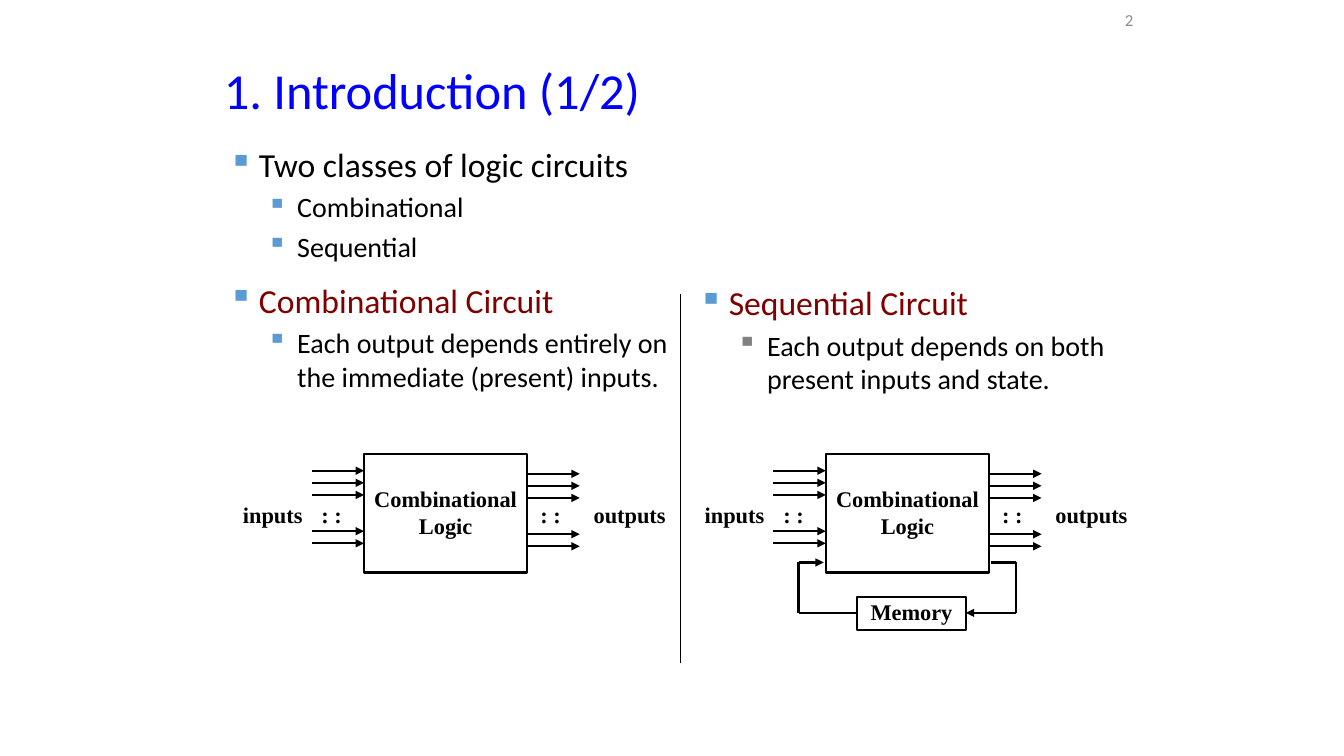
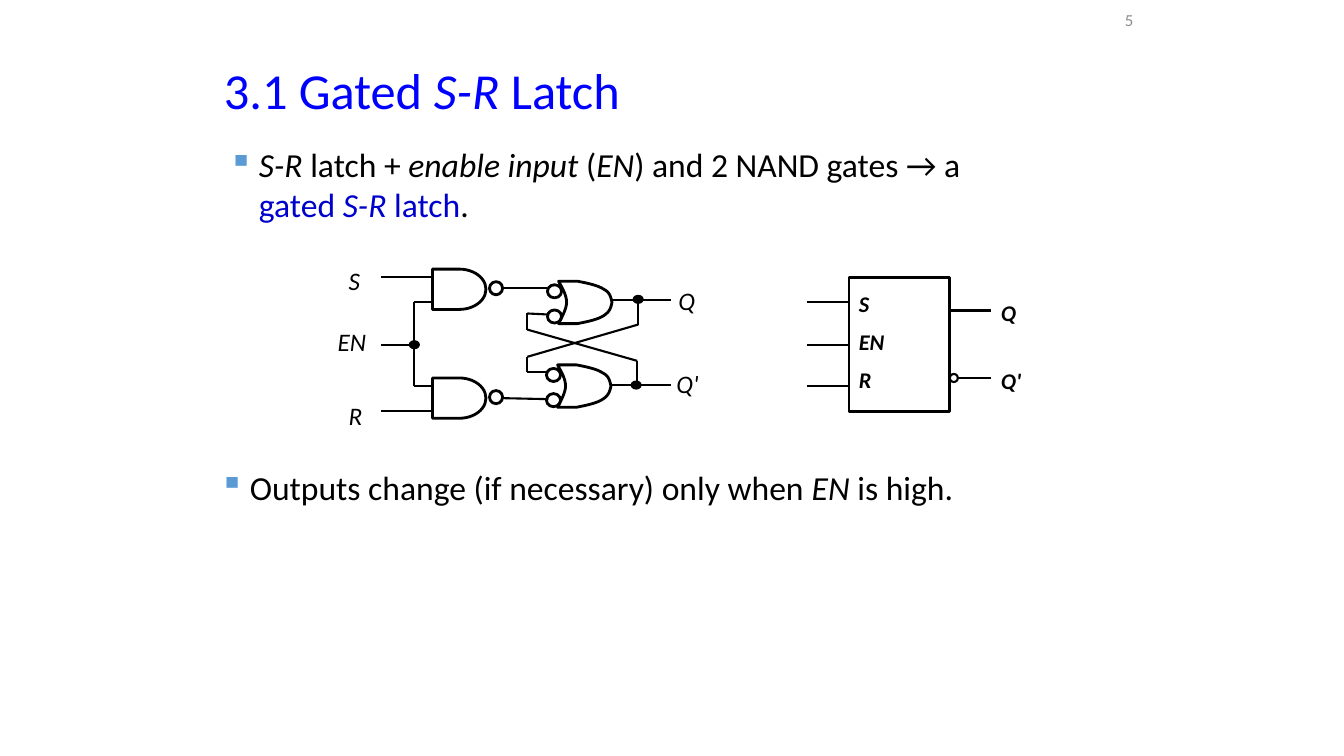
from itertools import pairwise
from lxml.etree import SubElement
from pptx import Presentation
from pptx.dml.color import RGBColor
from pptx.enum.shapes import MSO_CONNECTOR, MSO_SHAPE
from pptx.enum.text import MSO_ANCHOR, PP_ALIGN
from pptx.oxml.ns import qn
from pptx.util import Inches, Pt

# Shared style
BLACK, BLUE, NAVY, MAROON = "000000", "0000FF", "0000CC", "800000"
BULLET_BLUE, BULLET_GRAY, NUMBER_GRAY = "5B9BD5", "808080", "8C8C8C"
SANS, SERIF = "Calibri", "Times New Roman"
WIRE, OUTLINE = 1.5, 2

# Content: a run is (text, style, colour); style holds "b" and/or "i"
INTRO_TITLE = [("1. Introduction (1/2)",)]
LATCH_TITLE = [("3.1 Gated ",), ("S-R", "i"), (" Latch",)]

# Bulleted paragraph: (level, space before as share of size, runs, bullet colour)
CLASSES = [
    (0, 0, [("Two classes of logic circuits",)], BULLET_BLUE),
    (1, 0.2, [("Combinational",)], BULLET_BLUE),
    (1, 0.2, [("Sequential",)], BULLET_BLUE),
    (0, 0.5, [("Combinational Circuit", "", MAROON)], BULLET_BLUE),
    (1, 0.2, [("Each output depends entirely on the immediate (present) inputs.",)], BULLET_BLUE),
]
SEQUENTIAL = [
    (0, 0, [("Sequential Circuit", "", MAROON)], BULLET_BLUE),
    (1, 0.2, [("Each output depends on both present inputs and state.",)], BULLET_GRAY),
]
GATED = [(0, 0, [
    ("S-R", "i"), (" latch + ",), ("enable input", "i"), (" (",), ("EN", "i"),
    (") and 2 NAND gates → a ",), ("gated ", "", NAVY), ("S-R", "i", NAVY),
    (" latch", "", NAVY), (".",),
], BULLET_BLUE)]
ENABLED = [(0, 0, [
    ("Outputs change (if necessary) only when ",), ("EN", "i"), (" is high.",),
], BULLET_BLUE)]

# Logic block: wire rows in use, and x offsets of the labels from the block
WIRE_ROWS = (0, 1, 2, 5, 6)
BLOCK_LABELS = [("inputs", -1.28, 0.75), (": :", -0.53, 0.42),
                (": :", 1.64, 0.42), ("outputs", 2.22, 0.83)]
FEEDBACK = [  # points of each path; the arrow sits on the last one
    [(9.83, 5.58), (10.08, 5.58), (10.08, 6.08), (9.58, 6.08)],
    [(8.5, 6.08), (7.92, 6.08), (7.92, 5.58), (8.17, 5.58)],
]

# Gated latch
LATCH_WIRES = [
    [(3.78, 2.75), (4.3, 2.75)],
    [(3.78, 4.08), (4.3, 4.08)],
    [(3.78, 3.42), (4.11, 3.42)],
    [(4.3, 3), (4.11, 3), (4.11, 3.83), (4.3, 3.83)],
    [(5, 2.86), (5.43, 2.86)],
    [(4.99, 3.95), (5.44, 3.96)],
    [(5.43, 3.12), (5.23, 3.11), (5.23, 3.27), (6.32, 3.58), (6.32, 3.82)],
    [(5.43, 3.69), (5.23, 3.69), (5.23, 3.54), (6.33, 3.22), (6.33, 2.98)],
    [(6.07, 2.98), (6.66, 2.98)],
    [(6.07, 3.82), (6.66, 3.82)],
]
NAND_GATES = [(4.29, 2.67), (4.29, 3.75)]
OR_GATES = [(5.54, 2.79), (5.53, 3.62)]
JUNCTIONS = [(4.11, 3.42), (6.33, 2.97), (6.31, 3.82)]
LATCH_LABELS = [("S", 3.36, 2.58), ("EN", 3.25, 3.19), ("R", 3.36, 3.92),
                ("Q", 6.63, 2.78), ("Q'", 6.61, 3.6)]
# OR outline as cubic curves, measured from its top left corner
OR_START = (0.19, 0)
OR_CURVES = [
    [(0.29, 0.02), (0.39, 0.04), (0.45, 0.08)],
    [(0.51, 0.11), (0.52, 0.16), (0.53, 0.21)],
    [(0.52, 0.26), (0.51, 0.3), (0.45, 0.34)],
    [(0.39, 0.38), (0.29, 0.4), (0.19, 0.42)],
    [(0.13, 0.42), (0.06, 0.42), (0, 0.42)],
    [(0.02, 0.38), (0.08, 0.28), (0.08, 0.21)],
    [(0.08, 0.14), (0.04, 0.07), (0, 0)],
]

# Symbol of the latch
SYMBOL_WIRES = [[(8, y), (8.42, y)] for y in (3, 3.42, 3.83)] + [
    [(9.42, 3.08), (9.83, 3.08)], [(9.5, 3.75), (9.83, 3.75)]]


# Helpers
def color(hex_code):
    return RGBColor.from_string(hex_code)


def add_runs(paragraph, runs, size, font=SANS, default=BLACK):
    for text, style, tint in [(*run, "", default)[:3] if len(run) == 1
                              else (*run, default)[:3] for run in runs]:
        run = paragraph.add_run()
        run.text = text
        run.font.name, run.font.size = font, Pt(size)
        run.font.bold, run.font.italic = "b" in style, "i" in style
        run.font.color.rgb = color(tint)


def write(frame, lines, size, font=SANS, style="", tint=BLACK, align=PP_ALIGN.LEFT,
          gap=0, anchor=MSO_ANCHOR.TOP, side=0.1, top=0.05):
    frame.word_wrap = True
    frame.vertical_anchor = anchor
    frame.margin_left = frame.margin_right = Inches(side)
    frame.margin_top, frame.margin_bottom = Inches(top), Inches(0.05)
    for index, line in enumerate(lines):
        paragraph = frame.add_paragraph() if index else frame.paragraphs[0]
        paragraph.alignment = align
        paragraph.space_before = Pt(gap if index else 0)
        add_runs(paragraph, [(line, style, tint)], size, font)


def add_text(slide, box, lines, size, **options):
    frame = slide.shapes.add_textbox(*map(Inches, box)).text_frame
    write(frame, lines, size, **options)


def add_bullets(slide, box, items):
    frame = slide.shapes.add_textbox(*map(Inches, box)).text_frame
    frame.word_wrap = True
    for index, (level, gap, runs, bullet) in enumerate(items):
        paragraph = frame.add_paragraph() if index else frame.paragraphs[0]
        size = 20 if level else 24
        props = paragraph._p.get_or_add_pPr()
        props.set("marL", str(Inches(0.68 if level else 0.3)))
        props.set("indent", str(Inches(-0.3)))
        SubElement(SubElement(props, qn("a:buClr")), qn("a:srgbClr")).set("val", bullet)
        SubElement(props, qn("a:buChar")).set("char", "▪")
        paragraph.level = level
        paragraph.space_before = Pt(gap * size)
        add_runs(paragraph, runs, size)


def outline(shape, width, fill=None):
    shape.shadow.inherit = False
    shape.line.color.rgb, shape.line.width = color(BLACK), Pt(width)
    if fill:
        shape.fill.solid()
        shape.fill.fore_color.rgb = color(fill)
    else:
        shape.fill.background()
    return shape


def add_outline(slide, preset, box, width=OUTLINE, fill=None):
    return outline(slide.shapes.add_shape(preset, *map(Inches, box)), width, fill)


def add_circle(slide, center, width, height, line=OUTLINE, fill=None):
    x, y = center
    add_outline(slide, MSO_SHAPE.OVAL, (x - width / 2, y - height / 2, width, height), line, fill)


def add_wire(slide, points, width=WIRE, arrow=False):
    for start, end in pairwise(points):
        wire = slide.shapes.add_connector(MSO_CONNECTOR.STRAIGHT, *map(Inches, (*start, *end)))
        wire.line.color.rgb, wire.line.width = color(BLACK), Pt(width)
        if arrow and end == points[-1]:
            SubElement(wire.line._get_or_add_ln(), qn("a:tailEnd")).set("type", "triangle")
        SubElement(wire._element.spPr, qn("a:effectLst"))


def add_slide(deck, title_runs, number):
    slide = deck.slides.add_slide(deck.slide_layouts[5])
    title = slide.shapes.title
    title.left, title.top, title.width, title.height = map(Inches, (2.12, 0.57, 9.07, 0.7))
    title.text_frame.vertical_anchor = MSO_ANCHOR.MIDDLE
    heading = title.text_frame.paragraphs[0]
    heading.alignment, heading.line_spacing = PP_ALIGN.LEFT, 0.9
    add_runs(heading, title_runs, 36, default=BLUE)
    add_text(slide, (10.39, 0.02, 0.95, 0.36), [number], 12, tint=NUMBER_GRAY,
             align=PP_ALIGN.RIGHT, anchor=MSO_ANCHOR.MIDDLE)
    return slide


# Diagram parts
def add_named_block(slide, box, lines):
    block = add_outline(slide, MSO_SHAPE.RECTANGLE, box, WIRE)
    write(block.text_frame, lines, 16, font=SERIF, style="b", align=PP_ALIGN.CENTER,
          anchor=MSO_ANCHOR.MIDDLE, side=0, top=0.02)


def add_logic(slide, left, top=4.5, width=1.62, reach=0.52, pitch=0.12):
    add_named_block(slide, (left, top, width, 1.18), ["Combinational", "Logic"])
    for start, first in ((left - reach, top + 0.17), (left + width, top + 0.2)):
        for row in WIRE_ROWS:
            y = first + row * pitch
            add_wire(slide, [(start, y), (start + reach, y)], 1.25, arrow=True)
    for label, offset, span in BLOCK_LABELS:
        add_text(slide, (left + offset, top + 0.42, span, 0.37), [label], 16, font=SERIF,
                 style="b", align=PP_ALIGN.CENTER, side=0)


def add_nand(slide, left, top):
    add_outline(slide, MSO_SHAPE.FLOWCHART_DELAY, (left, top, 0.53, 0.4))
    add_circle(slide, (left + 0.63, top + 0.19), 0.13, 0.13)


def add_or(slide, left, top, steps=8):
    points, start = [], OR_START
    for a, b, end in OR_CURVES:
        for step in range(1, steps + 1):
            t = step / steps
            weights = ((1 - t) ** 3, 3 * t * (1 - t) ** 2, 3 * t * t * (1 - t), t ** 3)
            points.append(tuple(sum(w * p[axis] for w, p in zip(weights, (start, a, b, end)))
                                for axis in (0, 1)))
        start = end

    def place(point):
        return Inches(left + point[0]), Inches(top + point[1])

    builder = slide.shapes.build_freeform(*place(OR_START), scale=1.0)
    builder.add_line_segments([place(point) for point in points], close=True)
    outline(builder.convert_to_shape(), OUTLINE)
    for drop in (0.1, 0.35):
        add_circle(slide, (left - 0.04, top + drop), 0.14, 0.13)


# Slides
def build_introduction(deck):
    slide = add_slide(deck, INTRO_TITLE, "2")
    add_bullets(slide, (2.17, 1.38, 4.83, 5.37), CLASSES)
    add_bullets(slide, (6.83, 2.75, 4.67, 1.67), SEQUENTIAL)
    add_wire(slide, [(6.75, 2.92), (6.75, 6.58)], 0.75)
    for left in (3.61, 8.19):
        add_logic(slide, left)
    add_named_block(slide, (8.5, 5.92, 1.08, 0.33), ["Memory"])
    for points in FEEDBACK:
        add_wire(slide, points, arrow=True)


def build_latch(deck):
    slide = add_slide(deck, LATCH_TITLE, "5")
    add_bullets(slide, (2.17, 1.38, 8.03, 1.04), GATED)
    add_bullets(slide, (2.08, 4.58, 9, 1.04), ENABLED)
    for points in LATCH_WIRES + SYMBOL_WIRES:
        add_wire(slide, points)
    for corner in NAND_GATES:
        add_nand(slide, *corner)
    for corner in OR_GATES:
        add_or(slide, *corner)
    for center in JUNCTIONS:
        add_circle(slide, center, 0.1, 0.08, 0.75, BLACK)
    for label, left, top in LATCH_LABELS:
        add_text(slide, (left, top, 0.6, 0.4), [label], 18, style="i")
    symbol = add_outline(slide, MSO_SHAPE.RECTANGLE, (8.42, 2.75, 1, 1.33))
    write(symbol.text_frame, ["S", "EN", "R"], 16, style="bi", gap=8, top=0.13)
    add_circle(slide, (9.46, 3.75), 0.08, 0.08, WIRE)
    add_text(slide, (9.83, 2.92, 0.5, 1.06), ["Q", "Q'"], 16, style="bi", gap=29)


def main():
    deck = Presentation()
    deck.slide_width, deck.slide_height = Inches(13.33), Inches(7.5)
    build_introduction(deck)
    build_latch(deck)
    deck.save("out.pptx")


if __name__ == "__main__":
    main()
